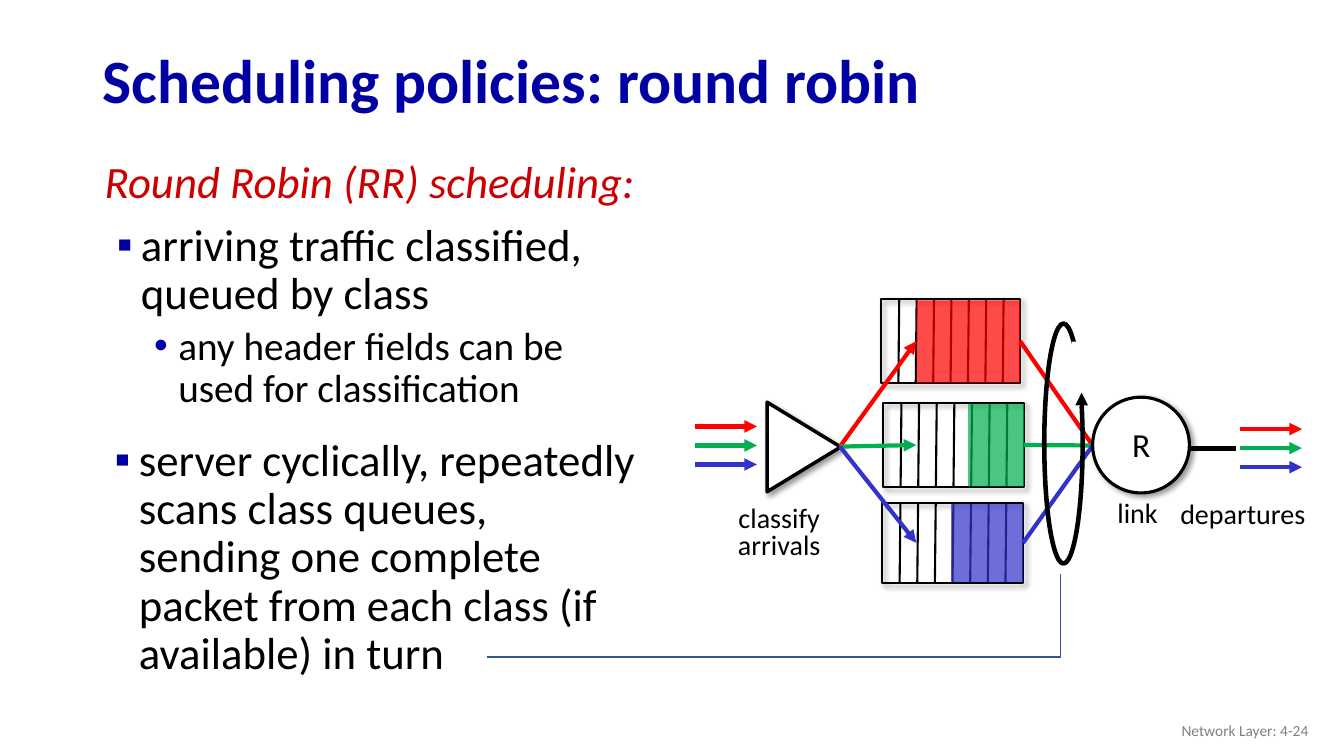
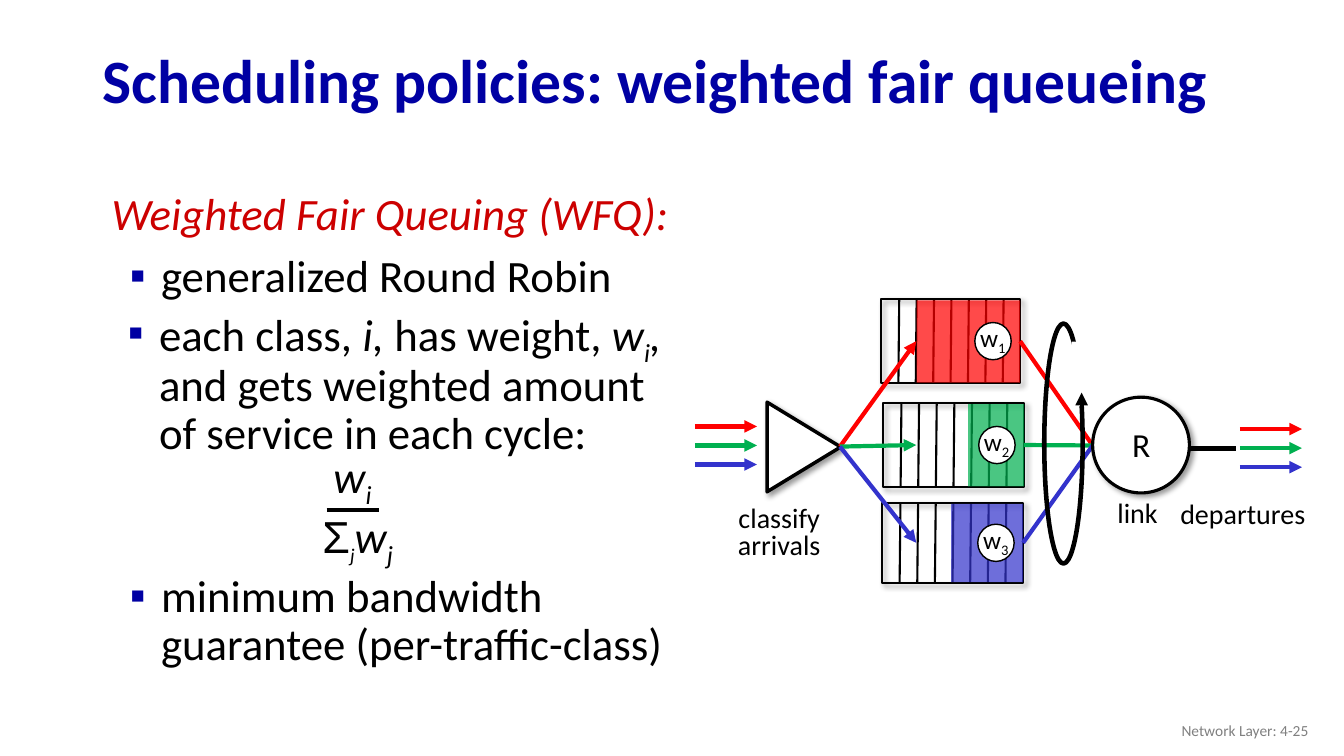
from dataclasses import dataclass
from typing import Optional

from lxml import etree
from pptx import Presentation
from pptx.dml.color import RGBColor
from pptx.enum import shapes, text
from pptx.oxml.ns import qn
from pptx.util import Pt


@dataclass(frozen=True)
class Theme:
    # colours
    title: str = "0000A3"
    heading: str = "CC0000"
    ink: str = "000000"
    paper: str = "FFFFFF"
    footer: str = "808080"
    sub_bullet: str = "0000A8"
    pointer: str = "325491"
    red: str = "FF0000"
    green: str = "00B050"
    blue: str = "3333CC"
    # fonts and type sizes
    font: str = "Calibri"
    symbol_font: str = "Arial"
    title_size: int = 44
    body_size: int = 32
    detail_size: int = 28
    router_size: int = 24
    label_size: int = 20
    badge_size: int = 18
    footer_size: int = 11


THEME = Theme()


@dataclass(frozen=True)
class Span:
    text: str
    italic: bool = False
    sub: bool = False
    size: Optional[int] = None
    font: str = THEME.font


@dataclass(frozen=True)
class Para:
    spans: tuple
    size: int = THEME.body_size
    color: str = THEME.ink
    bold: bool = False
    align: text.PP_ALIGN = text.PP_ALIGN.LEFT
    spacing: float = 0.9
    before: float = 0
    left: float = 0
    hang: float = 0
    bullet: str = ""
    bullet_color: str = THEME.title


@dataclass(frozen=True)
class Queue:
    color: str
    left: float
    top: float
    width: float
    height: float
    filled: float  # width of the occupied part

    @property
    def right(self):
        return self.left + self.width

    @property
    def middle(self):
        return self.top + self.height / 2


QUEUES = (
    Queue(THEME.red, 629.3, 213.8, 99.4, 59.8, 74),
    Queue(THEME.green, 630.7, 288, 100.8, 59.8, 40),
    Queue(THEME.blue, 630, 359.3, 100.8, 56.9, 51.5),
)
SLOTS = 8
FLOW_PITCH = 13.6
CLASSIFIER_TIP = (600, 319)
ROUTER_INLET = (780.5, 318.2)


# Basic elements

def rgb(color):
    return RGBColor.from_string(color)


def add_text(slide, box, paras, wrap=True, anchor=text.MSO_ANCHOR.TOP):
    frame = slide.shapes.add_textbox(*map(Pt, box)).text_frame
    frame.word_wrap = wrap
    frame.vertical_anchor = anchor
    if not wrap:
        frame.auto_size = text.MSO_AUTO_SIZE.SHAPE_TO_FIT_TEXT
    for i, para in enumerate(paras):
        line = frame.add_paragraph() if i else frame.paragraphs[0]
        format_paragraph(line, para)
        for span in para.spans:
            add_span(line, span, para)


def format_paragraph(line, para):
    line.alignment = para.align
    line.line_spacing = para.spacing
    line.space_before = Pt(para.before)
    props = line._p.get_or_add_pPr()
    props.set("marL", str(Pt(para.left)))
    props.set("indent", str(Pt(para.hang)))
    if para.bullet:
        tint = etree.SubElement(props, qn("a:buClr"))
        etree.SubElement(tint, qn("a:srgbClr"), val=para.bullet_color)
        etree.SubElement(props, qn("a:buFont"), typeface=THEME.symbol_font)
        etree.SubElement(props, qn("a:buChar"), char=para.bullet)


def add_span(line, span, para):
    run = line.add_run()
    run.text = span.text
    run.font.name = span.font
    run.font.size = Pt(span.size or para.size)
    run.font.color.rgb = rgb(para.color)
    run.font.bold = para.bold
    run.font.italic = span.italic
    if span.sub:
        run._r.get_or_add_rPr().set("baseline", "-25000")


def add_label(slide, box, lines, size=THEME.label_size):
    add_text(slide, box, [Para((Span(words),), size=size, spacing=0.8,
                               align=text.PP_ALIGN.CENTER) for words in lines], wrap=False)


def add_figure(slide, kind, box, fill=None, line=None, opacity=None, shadow=False):
    figure = slide.shapes.add_shape(kind, *map(Pt, box))
    paint(figure, fill, line)
    if opacity:
        tint = figure._element.spPr.find(qn("a:solidFill"))[0]
        etree.SubElement(tint, qn("a:alpha"), val=str(opacity * 1000))
    if shadow:
        cast_shadow(figure)
    return figure


def paint(figure, fill, line):
    figure.shadow.inherit = False
    if fill:
        figure.fill.solid()
        figure.fill.fore_color.rgb = rgb(fill)
    else:
        figure.fill.background()
    if line:
        figure.line.color.rgb = rgb(THEME.ink if line[0] is None else line[0])
        figure.line.width = Pt(line[1])
    else:
        figure.line.fill.background()


def cast_shadow(figure):
    effects = figure._element.spPr.find(qn("a:effectLst"))
    outer = etree.SubElement(effects, qn("a:outerShdw"), blurRad=str(Pt(4)), dist=str(Pt(3)),
                             dir="2700000", algn="tl", rotWithShape="0")
    tint = etree.SubElement(outer, qn("a:srgbClr"), val=THEME.ink)
    etree.SubElement(tint, qn("a:alpha"), val="40000")


def add_line(slide, start, end, color=THEME.ink, width=3, arrow=False):
    line = slide.shapes.add_connector(shapes.MSO_CONNECTOR.STRAIGHT, *map(Pt, (*start, *end)))
    line.line.color.rgb = rgb(color)
    line.line.width = Pt(width)
    if arrow:
        etree.SubElement(line.line._get_or_add_ln(), qn("a:tailEnd"), type="triangle")
    etree.SubElement(line._element.spPr, qn("a:effectLst"))


# Text parts

def heading(words):
    return Para((Span(words, italic=True),), color=THEME.heading, before=10, left=28, hang=-17.3)


def bullet(*spans, left=36.7, hang=-17.3):
    return Para(spans, before=10, left=left, hang=hang, bullet="▪")


def wide_bullet(*spans):
    return bullet(*spans, left=46, hang=-22.3)


def add_base_slide(deck, title, number):
    slide = deck.slides.add_slide(deck.slide_layouts[6])
    add_text(slide, (66.2, 24.5, 828, 70.6),
             [Para((Span(title),), size=THEME.title_size, color=THEME.title, bold=True)],
             anchor=text.MSO_ANCHOR.MIDDLE)
    add_text(slide, (725.8, 507.6, 216, 28.8),
             [Para((Span(f"Network Layer: {number}"),), size=THEME.footer_size,
                   color=THEME.footer, align=text.PP_ALIGN.RIGHT, spacing=1.0)],
             anchor=text.MSO_ANCHOR.MIDDLE)
    return slide


# Scheduler diagram

def add_queue(slide, queue):
    add_figure(slide, shapes.MSO_SHAPE.RECTANGLE,
               (queue.left, queue.top, queue.width, queue.height),
               line=(THEME.ink, 1.5), shadow=True)
    for slot in range(1, SLOTS):
        x = queue.left + slot * queue.width / SLOTS
        add_line(slide, (x + 0.6, queue.top + 0.5), (x, queue.top + queue.height), width=1.5)
    add_figure(slide, shapes.MSO_SHAPE.RECTANGLE,
               (queue.right - queue.filled, queue.top + 0.7, queue.filled, queue.height - 1),
               fill=queue.color, opacity=71)


def add_flows(slide, left, top):
    for i, queue in enumerate(QUEUES):
        y = top + i * FLOW_PITCH
        add_line(slide, (left, y), (left + 44.4, y), queue.color, arrow=True)


def add_scheduler(slide):
    add_line(slide, (846.7, 320.4), (882.7, 320.4))
    for queue in QUEUES:
        add_queue(slide, queue)

    # classifier and traffic in and out
    classifier = add_figure(slide, shapes.MSO_SHAPE.ISOSCELES_TRIANGLE, (542.2, 293, 64, 52.6),
                            fill=THEME.paper, line=(THEME.ink, 2.5), shadow=True)
    classifier.rotation = 90
    add_flows(slide, 496.3, 304.6)
    add_flows(slide, 885.6, 306.5)
    add_label(slide, (517.7, 358.6, 77.8, 46.8), ["classify", "arrivals"])
    add_label(slide, (835.2, 355.7, 105.1, 27.4), ["departures"])

    # ways into and out of the queues
    for queue in QUEUES:
        add_line(slide, CLASSIFIER_TIP, (654.5, queue.middle), queue.color, arrow=True)
        add_line(slide, (queue.right, queue.middle), ROUTER_INLET, queue.color)

    # router
    add_figure(slide, shapes.MSO_SHAPE.OVAL, (780.5, 283.7, 69.1, 68.4),
               fill=THEME.paper, line=(THEME.ink, 2.25), shadow=True)
    add_label(slide, (790.6, 355, 43.9, 27.4), ["link"])
    add_label(slide, (801.4, 304.6, 27.4, 31), ["R"], THEME.router_size)

    # cyclic scan: open loop with an arrow
    add_figure(slide, shapes.MSO_SHAPE.OVAL, (745.9, 231.1, 27.4, 171.4), line=(THEME.ink, 3.25))
    add_figure(slide, shapes.MSO_SHAPE.RECTANGLE, (765.4, 244.1, 15.1, 46.1), fill=THEME.paper)
    add_line(slide, (772.6, 301), (772.6, 280.5), arrow=True)


def add_weights(slide):
    for number, queue in enumerate(QUEUES, 1):
        left, top = queue.right - 32.4, queue.middle - 13.3
        add_figure(slide, shapes.MSO_SHAPE.OVAL, (left, top, 26, 26.6),
                   fill=THEME.paper, line=(THEME.ink, 1))
        add_text(slide, (left - 3.3, top - 3.6, 33.8, 28.8),
                 [Para((Span("w"), Span(str(number), sub=True)),
                       size=THEME.badge_size, spacing=1.0)], wrap=False)


def add_weight_fraction(slide):
    numerator = (Span("w", italic=True), Span("i", italic=True, sub=True))
    denominator = (Span("Σ", font=THEME.symbol_font),
                   Span("j", italic=True, sub=True, size=THEME.router_size),
                   Span("w", italic=True), Span("j", italic=True, sub=True))
    add_text(slide, (231.1, 316.8, 42.5, 46), [Para(numerator, spacing=1.0)], wrap=False)
    add_text(slide, (223.2, 360, 67, 46), [Para(denominator, spacing=1.0)], wrap=False)
    add_line(slide, (233.3, 364.3), (270.7, 364.3))


def add_pointer(slide):
    corners = [(Pt(x), Pt(y)) for x, y in ((347.8, 469.4), (757.4, 469.4), (757.4, 409.7))]
    outline = slide.shapes.build_freeform(*corners[0], scale=1.0)
    outline.add_line_segments(corners[1:], close=False)
    paint(outline.convert_to_shape(), None, (THEME.pointer, 1))


# Slides

def build_round_robin(deck):
    slide = add_base_slide(deck, "Scheduling policies: round robin", "4-24")
    detail = Para((Span("any header fields can be used for classification"),),
                  size=THEME.detail_size, before=5, left=63.4, hang=-17.3,
                  bullet="•", bullet_color=THEME.sub_bullet)
    add_text(slide, (56.9, 110.9, 406, 198),
             [heading("Round Robin (RR) scheduling:"),
              bullet(Span("arriving traffic classified, queued by class")), detail])
    add_scheduler(slide)
    add_text(slide, (55.4, 308.9, 406, 185),
             [bullet(Span("server cyclically, repeatedly scans class queues, sending one "
                          "complete packet from each class (if available) in turn"))])
    add_pointer(slide)


def build_weighted_fair_queueing(deck):
    slide = add_base_slide(deck, "Scheduling policies: weighted fair queueing", "4-25")
    add_text(slide, (61.9, 133.2, 437.8, 87.8),
             [heading("Weighted Fair Queuing (WFQ):"),
              wide_bullet(Span("generalized Round Robin"))])
    add_scheduler(slide)
    add_weights(slide)
    add_weight_fraction(slide)
    add_text(slide, (61.9, 406.1, 437.8, 82.8),
             [wide_bullet(Span("minimum bandwidth guarantee (per-traffic-class)"))])
    add_text(slide, (60.5, 216, 437.8, 111.6),
             [wide_bullet(Span("each class, "), Span("i, ", italic=True),
                          Span("has weight, "), Span("w", italic=True),
                          Span("i", italic=True, sub=True), Span(", ", italic=True),
                          Span("and gets weighted amount of service in each cycle:"))])


def main():
    deck = Presentation()
    deck.slide_width, deck.slide_height = Pt(960), Pt(540)
    build_round_robin(deck)
    build_weighted_fair_queueing(deck)
    deck.save("out.pptx")


if __name__ == "__main__":
    main()
